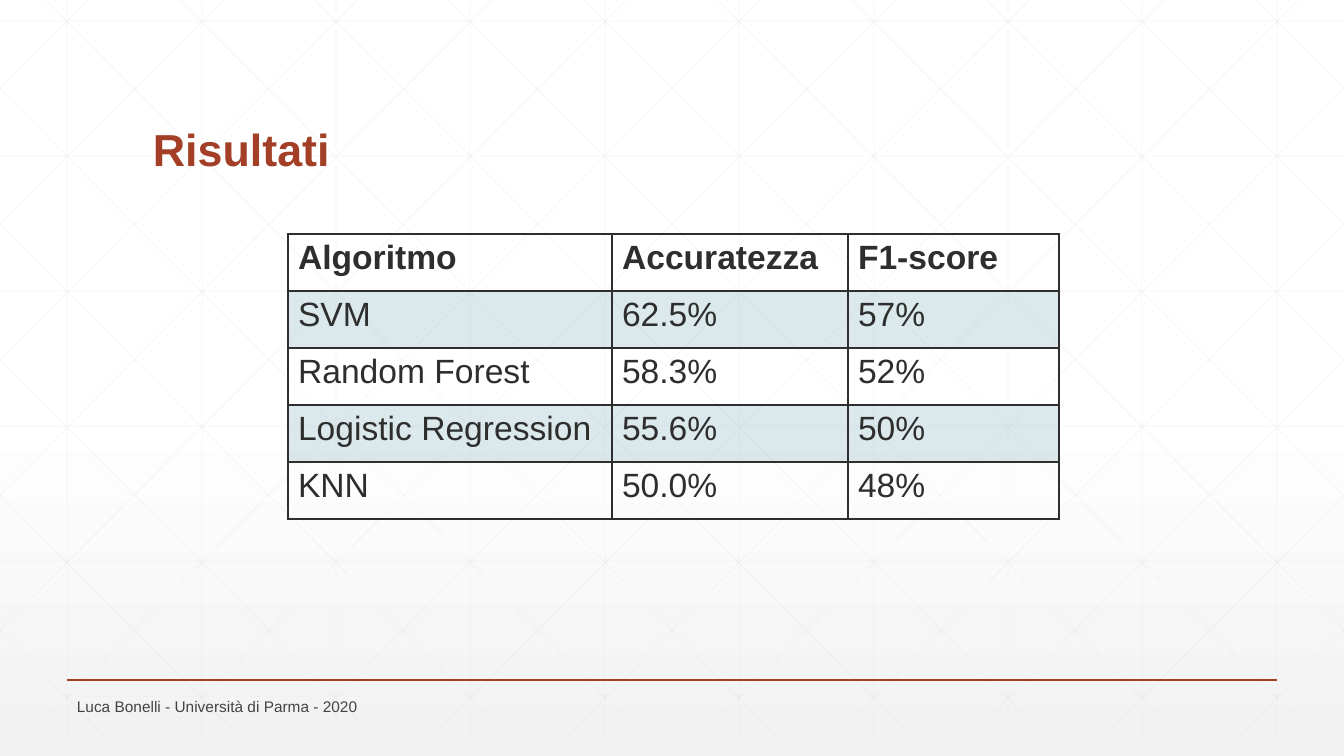
"""Build the "Risultati" slide: a table of classifier scores on a lattice background."""
from copy import deepcopy

from lxml.etree import SubElement
from pptx import Presentation
from pptx.dml.color import RGBColor
from pptx.enum.shapes import MSO_CONNECTOR
from pptx.enum.text import MSO_ANCHOR
from pptx.oxml import parse_xml
from pptx.oxml.ns import nsdecls, qn
from pptx.util import Pt

PX = 9072
W, H = 1344, 756
COLORS = {
    "white": "FFFFFF",
    "shade": "F2F2F2",
    "grid": "D9D9D9",
    "accent": "A43F27",
    "footer": "424342",
    "ink": "2D2E2D",
    "band": "4F91A1",
}

prs = Presentation()
prs.slide_width, prs.slide_height = W * PX, H * PX
s = prs.slides.add_slide(prs.slide_layouts[6])


def add_line(x1, y1, x2, y2, color, width, alpha=100):
    ends = [round(v) * PX for v in (x1, y1, x2, y2)]
    sp = s.shapes.add_connector(MSO_CONNECTOR.STRAIGHT, *ends)
    sp.line.color.rgb = RGBColor.from_string(COLORS[color])
    sp.line.width = Pt(width)
    if alpha < 100:
        clr = next(sp._element.iter(qn("a:srgbClr")))
        SubElement(clr, qn("a:alpha"), val=str(alpha * 1000))
    SubElement(sp._element.spPr, qn("a:effectLst"))


def write(tf, text, size, color, bold=False, anchor=MSO_ANCHOR.TOP, spacing=1.0):
    tf.word_wrap = True
    tf.vertical_anchor = anchor
    p = tf.paragraphs[0]
    p.line_spacing = spacing
    r = p.add_run()
    r.text = text
    r.font.name = "Arial"
    r.font.size = Pt(size)
    r.font.bold = bold
    r.font.color.rgb = RGBColor.from_string(COLORS[color])


fill = s.background.fill
fill.gradient()
fill.gradient_angle = 270
first = next(s._element.iter(qn("a:gs")))
first.addnext(deepcopy(first))
stops = [(0, "white"), (0.53, "white"), (1, "shade")]
for stop, (position, color) in zip(fill.gradient_stops, stops):
    stop.position = position
    stop.color.rgb = RGBColor.from_string(COLORS[color])

GRID = {"color": "grid", "width": 0.5, "alpha": 25}
STEP = 134.4
TOP, BOTTOM = -21, 735
RUN = 751
SLOPE = (BOTTOM - TOP) / RUN
for i in range(10):
    x = STEP / 2 + i * STEP
    add_line(x, TOP, x, BOTTOM, **GRID)
for i in range(6):
    y = 21 + i * 135
    add_line(0, y, W, y, **GRID)
for i in range(-5, 10):
    start = 25 + i * STEP
    x1, x2 = max(start, 0), min(start + RUN, W)
    y1, y2 = (TOP + (x - start) * SLOPE for x in (x1, x2))
    add_line(x1, y1, x2, y2, **GRID)
    add_line(W - x1, y1, W - x2, y2, **GRID)

add_line(67, 680, 1277, 680, "accent", 1)

title = s.shapes.add_textbox(143 * PX, 55 * PX, 1058 * PX, 126 * PX)
write(title.text_frame, "Risultati", 32, "accent", bold=True,
      anchor=MSO_ANCHOR.BOTTOM, spacing=0.9)
footer = s.shapes.add_textbox(67 * PX, 694 * PX, 675 * PX, 24 * PX)
write(footer.text_frame, "Luca Bonelli - Università di Parma - 2020", 11, "footer",
      anchor=MSO_ANCHOR.MIDDLE)

ROWS = [
    ("Algoritmo", "Accuratezza", "F1-score"),
    ("SVM", "62.5%", "57%"),
    ("Random Forest", "58.3%", "52%"),
    ("Logistic Regression", "55.6%", "50%"),
    ("KNN", "50.0%", "48%"),
]
COLS = [324, 236, 211]
ROW_H = 57
table = s.shapes.add_table(len(ROWS), len(COLS), 288 * PX, 234 * PX,
                           sum(COLS) * PX, len(ROWS) * ROW_H * PX).table
table.first_row = table.horz_banding = False
for col, width in zip(table.columns, COLS):
    col.width = width * PX
for i, row in enumerate(ROWS):
    table.rows[i].height = ROW_H * PX
    for j, text in enumerate(row):
        cell = table.cell(i, j)
        write(cell.text_frame, text, 24, "ink", bold=i == 0)
        tcPr = cell._tc.get_or_add_tcPr()
        for side in ("lnL", "lnR", "lnT", "lnB"):
            tcPr.append(parse_xml(
                f'<a:{side} {nsdecls("a")} w="12700"><a:solidFill>'
                f'<a:srgbClr val="{COLORS["ink"]}"/></a:solidFill></a:{side}>'))
        if i == 0:
            cell.fill.background()
            continue
        cell.fill.solid()
        cell.fill.fore_color.rgb = RGBColor.from_string(COLORS["band" if i % 2 else "white"])
        clr = tcPr.find(qn("a:solidFill")).find(qn("a:srgbClr"))
        SubElement(clr, qn("a:alpha"), val="20000")

prs.save("out.pptx")
